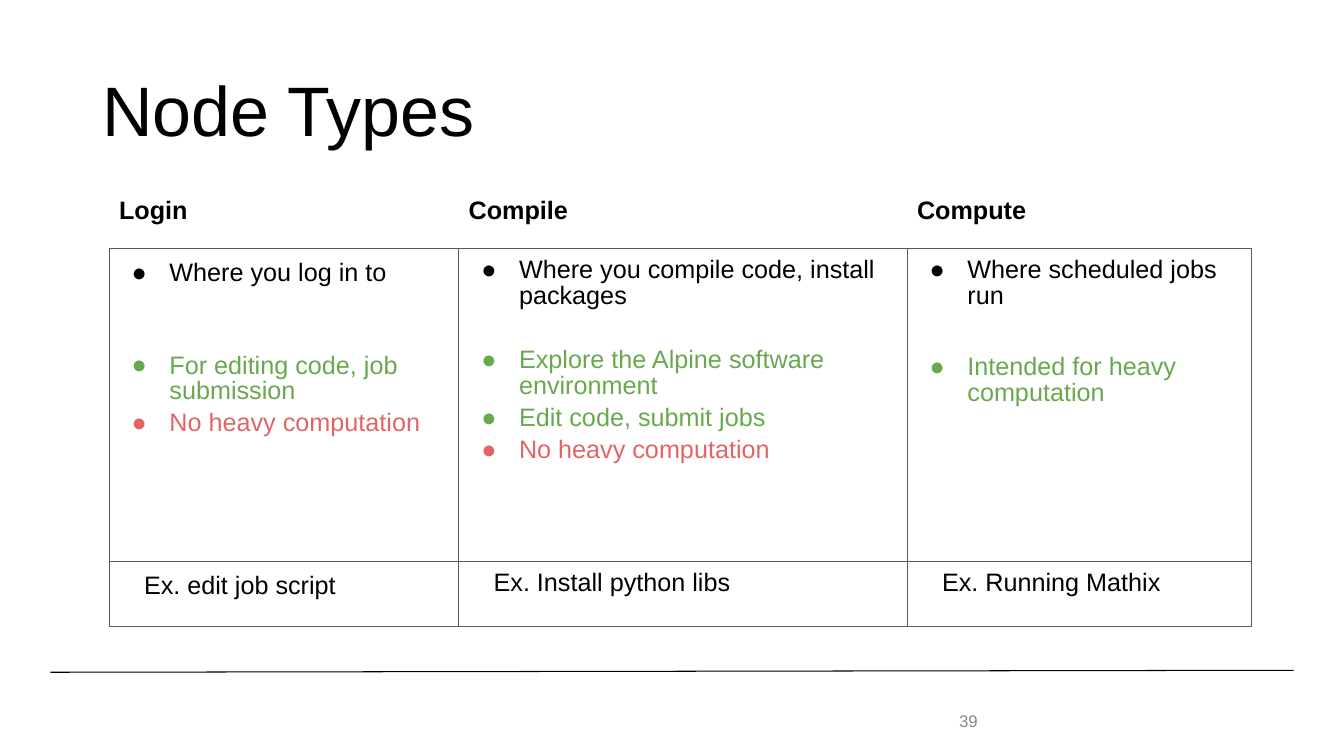
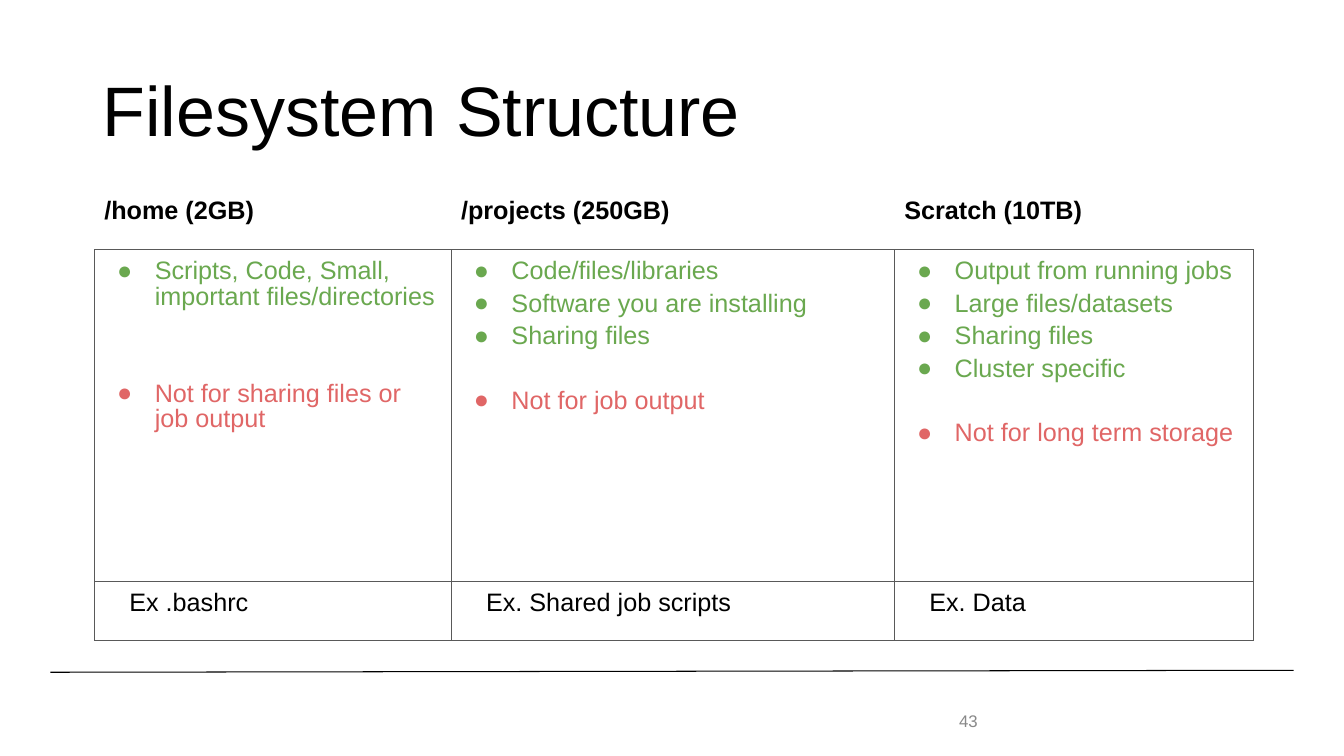
from dataclasses import dataclass

from lxml.etree import SubElement
from pptx import Presentation
from pptx.dml.color import RGBColor
from pptx.enum.shapes import MSO_CONNECTOR
from pptx.enum.text import MSO_ANCHOR
from pptx.oxml.ns import qn
from pptx.util import Cm, Pt

COLORS = {
    "text": "000000",
    "good": "6AA84F",
    "bad": "E06666",
    "grid": "595959",
    "paper": "FFFFFF",
    "number": "888888",
}
FONT = "Arial"
TABLE_TOP = 4.7
CELL_MARGIN = Cm(0.25)
TIGHT = 0.9


@dataclass(frozen=True)
class Bullet:
    text: str
    color: str
    space_before: float = 5
    line_spacing: float = TIGHT


@dataclass(frozen=True)
class Column:
    heading: str
    width: float
    bullets: tuple[Bullet, ...]
    example: str
    example_spacing: float = TIGHT


@dataclass(frozen=True)
class TablePage:
    title: str
    number: str
    left: float
    row_heights: tuple[float, float, float]
    columns: tuple[Column, ...]


PAGES = (
    TablePage("Node Types", "39", 2.75, (1.56, 7.89, 1.64), (
        Column("Login", 8.81, (
            Bullet("Where you log in to", "text", line_spacing=1.0),
            Bullet("For editing code, job submission", "good", 48),
            Bullet("No heavy computation", "bad"),
        ), "Ex. edit job script", 1.0),
        Column("Compile", 11.3, (
            Bullet("Where you compile code, install packages", "text"),
            Bullet("Explore the Alpine software environment", "good", 28),
            Bullet("Edit code, submit jobs", "good"),
            Bullet("No heavy computation", "bad"),
        ), "Ex. Install python libs"),
        Column("Compute", 8.68, (
            Bullet("Where scheduled jobs run", "text"),
            Bullet("Intended for heavy computation", "good", 33),
        ), "Ex. Running Mathix"),
    )),
    TablePage("Filesystem Structure", "43", 2.38, (1.59, 8.36, 1.5), (
        Column("/home (2GB)", 8.99, (
            Bullet("Scripts, Code, Small, important files/directories", "good"),
            Bullet("Not for sharing files or job output", "bad", 51),
        ), "Ex .bashrc"),
        Column("/projects (250GB)", 11.17, (
            Bullet("Code/files/libraries", "good"),
            Bullet("Software you are installing", "good"),
            Bullet("Sharing files", "good"),
            Bullet("Not for job output", "bad", 28),
        ), "Ex. Shared job scripts"),
        Column("Scratch (10TB)", 9.04, (
            Bullet("Output from running jobs", "good"),
            Bullet("Large files/datasets", "good"),
            Bullet("Sharing files", "good"),
            Bullet("Cluster specific", "good"),
            Bullet("Not for long term storage", "bad", 28),
        ), "Ex. Data"),
    )),
)


def rgb(color: str) -> RGBColor:
    return RGBColor.from_string(COLORS[color])


def write(para, text: str, size: float, color: str = "text", bold: bool = False) -> None:
    para.add_run().text = text
    font = para.font
    font.name, font.size, font.bold = FONT, Pt(size), bold
    font.color.rgb = rgb(color)


def add_label(page, text: str, size: float, color: str,
              left: float, top: float, width: float, height: float):
    box = page.shapes.add_textbox(Cm(left), Cm(top), Cm(width), Cm(height))
    box.text_frame.word_wrap = True
    box.text_frame.vertical_anchor = MSO_ANCHOR.MIDDLE
    para = box.text_frame.paragraphs[0]
    write(para, text, size, color)
    return para


def add_footer_line(page) -> None:
    line = page.shapes.add_connector(
        MSO_CONNECTOR.STRAIGHT, Cm(1.27), Cm(16.94), Cm(32.6), Cm(16.89))
    line.line.color.rgb = rgb("text")
    line.line.width = Pt(0.75)
    SubElement(line._element.spPr, qn("a:effectLst"))


def indent(para, hanging: float) -> None:
    properties = para._p.get_or_add_pPr()
    properties.set("marL", str(Cm(1.27)))
    properties.set("indent", str(-Cm(hanging)))


def add_bullet_mark(para, color: str) -> None:
    properties = para._p.get_or_add_pPr()
    mark_color = SubElement(properties, qn("a:buClr"))
    SubElement(mark_color, qn("a:srgbClr"), val=COLORS[color])
    SubElement(properties, qn("a:buFont"), typeface=FONT)
    SubElement(properties, qn("a:buChar"), char="●")


def style_cell(cell, is_heading: bool, below_heading: bool) -> None:
    cell.margin_left = cell.margin_right = CELL_MARGIN
    cell.margin_top = cell.margin_bottom = CELL_MARGIN
    side_color = "paper" if is_heading else "grid"
    edges = {"lnL": side_color, "lnR": side_color, "lnT": side_color, "lnB": "grid"}
    properties = cell._tc.get_or_add_tcPr()
    for edge, color in edges.items():
        border = SubElement(properties, qn(f"a:{edge}"), w=str(Pt(0.75)))
        fill = SubElement(border, qn("a:solidFill"))
        SubElement(fill, qn("a:srgbClr"), val=COLORS[color])
    cell.fill.background()


def fill_bullets(frame, bullets: tuple[Bullet, ...]) -> None:
    for index, bullet in enumerate(bullets):
        para = frame.add_paragraph() if index else frame.paragraphs[0]
        indent(para, 0.95)
        add_bullet_mark(para, bullet.color)
        para.line_spacing = bullet.line_spacing
        if index:
            para.space_before = Pt(bullet.space_before)
        write(para, bullet.text, 18, bullet.color)


def add_comparison(page, content: TablePage) -> None:
    columns, heights = content.columns, content.row_heights
    table = page.shapes.add_table(
        len(heights), len(columns), Cm(content.left), Cm(TABLE_TOP),
        Cm(sum(column.width for column in columns)), Cm(sum(heights))).table
    table.first_row = table.horz_banding = False
    for row, height in zip(table.rows, heights):
        row.height = Cm(height)
    for index, column in enumerate(columns):
        table.columns[index].width = Cm(column.width)
        heading, body, example = (table.cell(row, index) for row in range(len(heights)))
        for cell in (heading, body, example):
            style_cell(cell, cell is heading, cell is body)
        write(heading.text_frame.paragraphs[0], column.heading, 18, bold=True)
        fill_bullets(body.text_frame, column.bullets)
        para = example.text_frame.paragraphs[0]
        indent(para, 0.64)
        para.line_spacing = column.example_spacing
        write(para, column.example, 18)


def add_page(deck, content: TablePage) -> None:
    page = deck.slides.add_slide(deck.slide_layouts[6])
    add_footer_line(page)
    title = add_label(page, content.title, 50, "text", 2.33, 1.02, 29.21, 3.68)
    title.line_spacing = TIGHT
    add_label(page, content.number, 12, "number", 23.92, 17.65, 1.9, 1.02)
    add_comparison(page, content)


def main() -> None:
    deck = Presentation()
    deck.slide_width, deck.slide_height = Cm(33.87), Cm(19.05)
    for content in PAGES:
        add_page(deck, content)
    deck.save("out.pptx")


if __name__ == "__main__":
    main()
